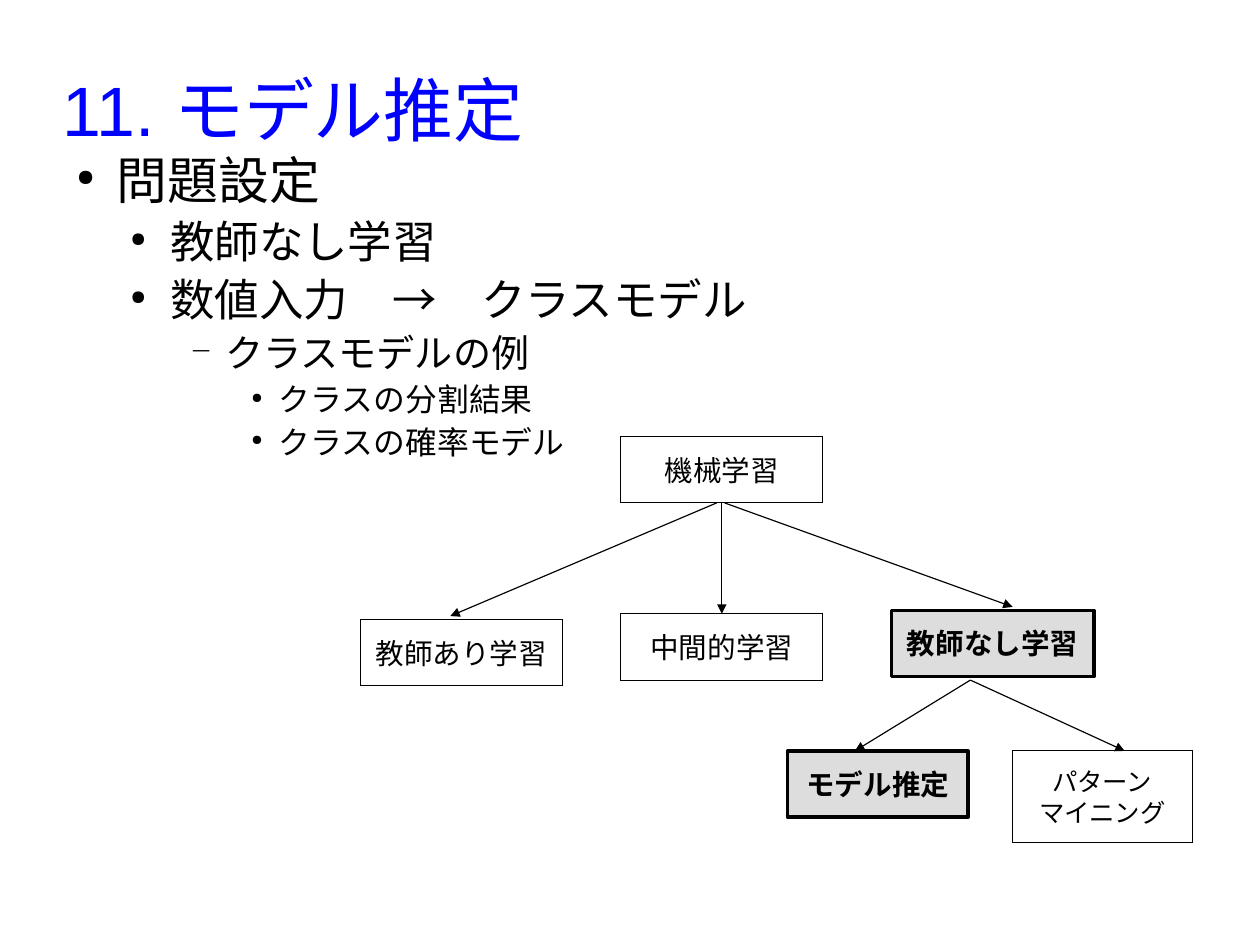
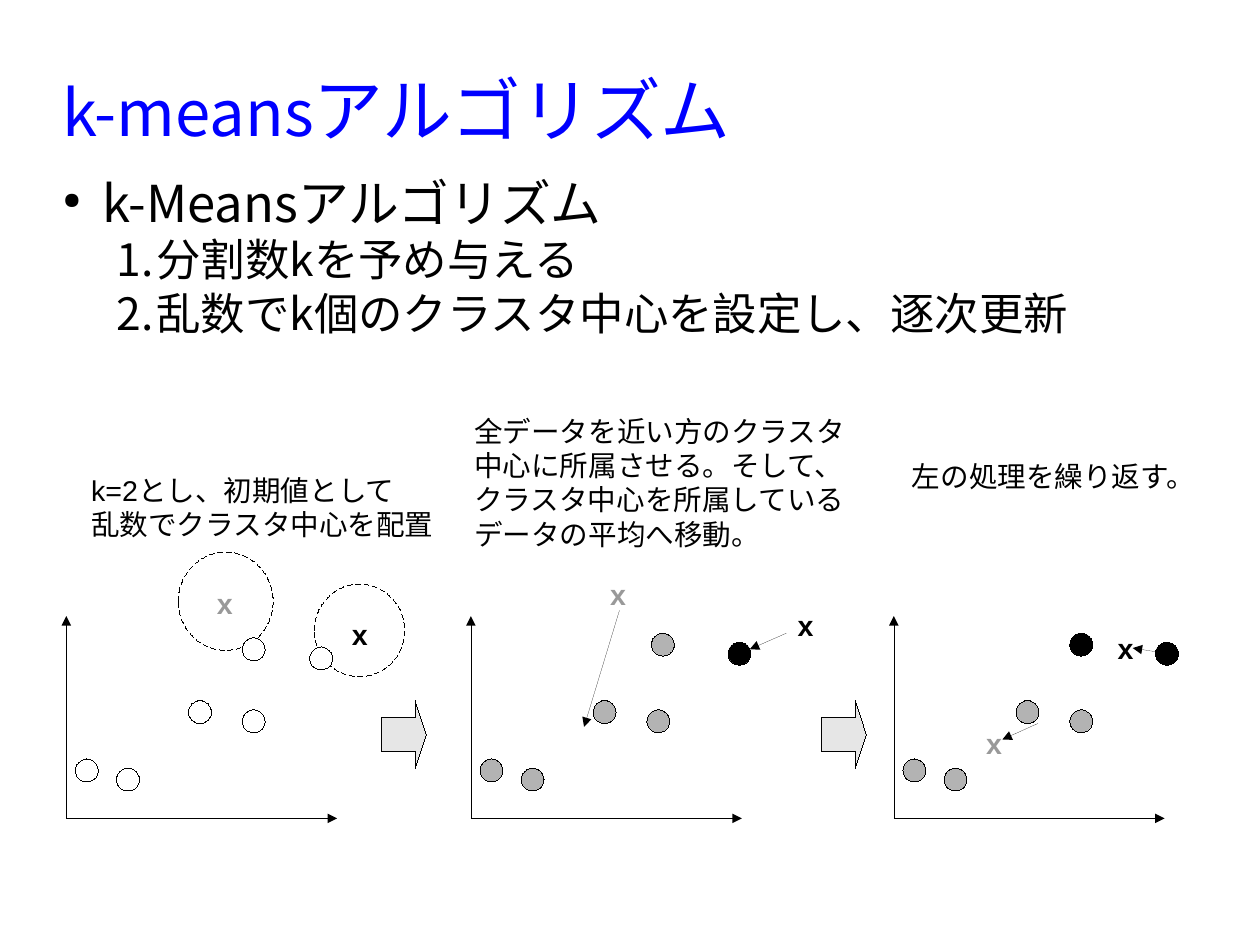
from lxml import etree
from pptx import Presentation
from pptx.dml.color import RGBColor
from pptx.enum import dml, shapes, text
from pptx.oxml.ns import qn
from pptx.util import Cm, Inches, Pt

BLACK = RGBColor(0x00, 0x00, 0x00)
WHITE = RGBColor(0xFF, 0xFF, 0xFF)
TITLE_BLUE = RGBColor(0x00, 0x00, 0xFF)
HIGHLIGHT = RGBColor(0xDD, 0xDD, 0xDD)
ARROW_GRAY = RGBColor(0xE6, 0xE6, 0xE6)
POINT_GRAY = RGBColor(0xB3, 0xB3, 0xB3)
CENTER_GRAY = RGBColor(0x99, 0x99, 0x99)

LATIN = "Arial"
JAPANESE = "Noto Sans CJK JP"
BULLET_FONT = "OpenSymbol"

# level: (text size, left margin, first-line indent, bullet, bullet percent)
LEVELS = [
    (32, 0.47, -0.35, "●", 45),
    (28, 0.94, -0.35, "●", 45),
    (24, 1.42, -0.31, "−", 75),
    (20, 1.89, -0.24, "●", 45),
]

AXIS_BOTTOM = 7.16
AXIS_TOP = 5.39
AXIS_LENGTH = 2.37
POINT_SIZE = 0.2
LOWER_POINTS = [(0.44, 6.72), (0.08, 6.64), (1.07, 6.13), (1.54, 6.21)]


def set_font(paragraph, name, color, size=None, bold=False):
    font = paragraph.font
    font.color.rgb = color
    font.name = name
    font.bold = bold
    if size:
        font.size = Pt(size)
    properties = paragraph._p.get_or_add_pPr().find(qn("a:defRPr"))
    east_asian = etree.Element(qn("a:ea"), typeface=JAPANESE)
    properties.find(qn("a:latin")).addnext(east_asian)


def set_bullet(paragraph, level, numbered):
    size, margin, indent, character, percent = LEVELS[level]
    paragraph.level = level
    properties = paragraph._p.get_or_add_pPr()
    properties.set("marL", str(Inches(margin)))
    properties.set("indent", str(Inches(indent)))
    color = etree.SubElement(properties, qn("a:buClr"))
    etree.SubElement(color, qn("a:srgbClr"), val=str(BLACK))
    if numbered:
        etree.SubElement(properties, qn("a:buFont"), typeface=JAPANESE)
        etree.SubElement(properties, qn("a:buAutoNum"), type="arabicPeriod")
    else:
        etree.SubElement(properties, qn("a:buSzPct"), val=str(percent * 1000))
        etree.SubElement(properties, qn("a:buFont"), typeface=BULLET_FONT)
        etree.SubElement(properties, qn("a:buChar"), char=character)


def set_line(line, width):
    """Draw a black line; a width of 0 gives a hairline."""
    line.color.rgb = BLACK
    line._get_or_add_ln().set("w", str(Pt(width)))


def set_margins(frame, horizontal, vertical):
    frame.margin_left = frame.margin_right = Inches(horizontal)
    frame.margin_top = frame.margin_bottom = Inches(vertical)


def each_paragraph(frame, count):
    for index in range(count):
        yield frame.add_paragraph() if index else frame.paragraphs[0]


def add_text_frame(slide, box, margins=(0, 0), wrap=True):
    frame = slide.shapes.add_textbox(*map(Inches, box)).text_frame
    set_margins(frame, *margins)
    frame.word_wrap = wrap
    return frame


def add_title(slide, box, runs, name, line_spacing=None):
    """Write a title from (text, size) runs."""
    frame = add_text_frame(slide, box)
    frame.vertical_anchor = text.MSO_ANCHOR.MIDDLE
    paragraph = frame.paragraphs[0]
    if line_spacing:
        paragraph.line_spacing = Pt(line_spacing)
    set_font(paragraph, name, TITLE_BLUE)
    for words, size in runs:
        run = paragraph.add_run()
        run.text = words
        run.font.size = Pt(size)


def add_outline(slide, box, items, name, space_after=0, numbered_levels=()):
    """Write a bulleted list from (level, text) items."""
    frame = add_text_frame(slide, box)
    for paragraph, (level, words) in zip(each_paragraph(frame, len(items)), items):
        paragraph.text = words
        paragraph.space_after = Pt(space_after)
        set_bullet(paragraph, level, level in numbered_levels)
        set_font(paragraph, name, BLACK, LEVELS[level][0])


def add_caption(slide, box, lines, color=BLACK, bold=False):
    frame = add_text_frame(slide, box, (0.1, 0.05), wrap=False)
    for paragraph, words in zip(each_paragraph(frame, len(lines)), lines):
        paragraph.text = words
        set_font(paragraph, LATIN, color, 18, bold)


def add_preset(slide, preset, box, fill=None, line_width=0):
    shape = slide.shapes.add_shape(preset, *map(Inches, box))
    shape.shadow.inherit = False
    if fill is None:
        shape.fill.background()
    else:
        shape.fill.solid()
        shape.fill.fore_color.rgb = fill
    set_line(shape.line, line_width)
    return shape


def add_node(slide, box, lines, size=18, highlighted=False):
    fill, width = (HIGHLIGHT, 2.3) if highlighted else (WHITE, 0)
    shape = add_preset(slide, shapes.MSO_SHAPE.RECTANGLE, box, fill, width)
    frame = shape.text_frame
    set_margins(frame, 0.1, 0.05)
    frame.word_wrap = False
    frame.vertical_anchor = text.MSO_ANCHOR.MIDDLE
    for paragraph, words in zip(each_paragraph(frame, len(lines)), lines):
        paragraph.text = words
        paragraph.alignment = text.PP_ALIGN.CENTER
        set_font(paragraph, JAPANESE, BLACK, size, highlighted)
    return shape


def add_arrow(slide, start, end, width=0):
    connector = slide.shapes.add_connector(
        shapes.MSO_CONNECTOR.STRAIGHT, *map(Inches, (*start, *end)))
    set_line(connector.line, width)
    line = connector.line._get_or_add_ln()
    etree.SubElement(line, qn("a:tailEnd"), type="triangle")
    etree.SubElement(connector._element.spPr, qn("a:effectLst"))
    return connector


def add_axes(slide, left):
    origin = (left, AXIS_BOTTOM)
    add_arrow(slide, origin, (left + AXIS_LENGTH, AXIS_BOTTOM))
    add_arrow(slide, origin, (left, AXIS_TOP))


def add_points(slide, left, points, fill):
    """Draw data points whose x is measured from the axis."""
    for x, top in points:
        add_preset(slide, shapes.MSO_SHAPE.OVAL,
                   (left + x, top, POINT_SIZE, POINT_SIZE), fill)


def add_center_mark(slide, left, top, color):
    add_caption(slide, (left, top, 0.34, 0.39), ["x"], color, bold=True)


def add_neighborhood(slide, box):
    circle = add_preset(slide, shapes.MSO_SHAPE.OVAL, box)
    circle.line.dash_style = dml.MSO_LINE.DASH


def add_step_arrow(slide, left):
    arrow = add_preset(slide, shapes.MSO_SHAPE.RIGHT_ARROW,
                       (left, 6.13, 0.39, 0.59), ARROW_GRAY)
    arrow.adjustments[0] = 0.5
    arrow.adjustments[1] = 0.25


def build_model_slide(slide):
    add_title(slide, (0.55, 0.39, 9.92, 1.12), [("11. モデル推定", 44)], LATIN)
    add_outline(slide, (0.55, 1.3, 9.92, 4.8), [
        (0, "問題設定"),
        (1, "教師なし学習"),
        (1, "数値入力　→　クラスモデル"),
        (2, "クラスモデルの例"),
        (3, "クラスの分割結果"),
        (3, "クラスの確率モデル"),
    ], LATIN, space_after=2.8)

    root = add_node(slide, (5.43, 3.82, 1.77, 0.58), ["機械学習"])
    add_node(slide, (3.15, 5.42, 1.77, 0.58), ["教師あり学習"])
    middle = add_node(slide, (5.43, 5.37, 1.77, 0.58), ["中間的学習"])
    add_node(slide, (7.8, 5.34, 1.77, 0.58), ["教師なし学習"], highlighted=True)
    add_node(slide, (6.89, 6.57, 1.58, 0.58), ["モデル推定"], highlighted=True)
    add_node(slide, (8.86, 6.57, 1.57, 0.8), ["パターン", "マイニング"], size=16)

    for start, end in [
        ((6.27, 4.4), (3.94, 5.39)),
        ((6.34, 4.4), (8.86, 5.31)),
        ((8.49, 5.95), (7.48, 6.57)),
        ((8.49, 5.95), (9.84, 6.57)),
    ]:
        add_arrow(slide, start, end, 0.75)
    trunk = add_arrow(slide, (6.31, 4.4), (6.31, 5.37), 0.75)
    trunk.begin_connect(root, 2)
    trunk.end_connect(middle, 0)


def build_k_means_slide(slide):
    add_title(slide, (0.55, 0.19, 9.92, 1.67),
              [("k-means", 40), ("アルゴリズム", 44)], JAPANESE, line_spacing=42.5)
    add_outline(slide, (0.43, 1.5, 9.61, 4.8), [
        (0, "k-Meansアルゴリズム"),
        (1, "分割数kを予め与える"),
        (1, "乱数でk個のクラスタ中心を設定し、逐次更新"),
    ], JAPANESE, numbered_levels=(1,))

    add_neighborhood(slide, (1.56, 4.83, 0.83, 0.86))
    add_neighborhood(slide, (2.75, 5.11, 0.79, 0.81))

    # axis left, lower point fill, upper points with their fills
    panels = [
        (0.58, WHITE, [((1.54, 5.58), WHITE), ((2.13, 5.66), WHITE)]),
        (4.12, POINT_GRAY, [((1.58, 5.54), POINT_GRAY), ((2.25, 5.62), BLACK)]),
        (7.82, POINT_GRAY, [((1.54, 5.54), BLACK), ((2.29, 5.62), BLACK)]),
    ]
    for left, lower_fill, upper_points in panels:
        add_axes(slide, left)
        add_points(slide, left, LOWER_POINTS, lower_fill)
        for point, fill in upper_points:
            add_points(slide, left, [point], fill)

    for left in (3.34, 7.19):
        add_step_arrow(slide, left)

    for left, top, color in [
        (1.8, 5.08, CENTER_GRAY), (2.98, 5.35, BLACK),
        (5.24, 5, CENTER_GRAY), (6.88, 5.27, BLACK),
        (8.53, 6.3, CENTER_GRAY), (9.68, 5.47, BLACK),
    ]:
        add_center_mark(slide, left, top, color)

    for start, end in [
        ((6.88, 5.54), (6.56, 5.68)),
        ((5.42, 5.34), (5.11, 6.36)),
        ((10.22, 5.72), (9.91, 5.67)),
        ((9.08, 6.33), (8.77, 6.47)),
    ]:
        add_arrow(slide, start, end)

    add_caption(slide, (0.7, 4.09, 3.2, 0.85),
                ["k=2とし、初期値として", "乱数でクラスタ中心を配置"])
    add_caption(slide, (4.05, 3.57, 3.45, 1.6), [
        "全データを近い方のクラスタ", "中心に所属させる。そして、",
        "クラスタ中心を所属している", "データの平均へ移動。",
    ])
    add_caption(slide, (7.88, 3.97, 2.7, 0.47), ["左の処理を繰り返す。"])


def main():
    presentation = Presentation()
    presentation.slide_width = Cm(28)
    presentation.slide_height = Cm(21)
    blank = presentation.slide_layouts[6]
    for build in (build_model_slide, build_k_means_slide):
        build(presentation.slides.add_slide(blank))
    presentation.save("out.pptx")


if __name__ == "__main__":
    main()
